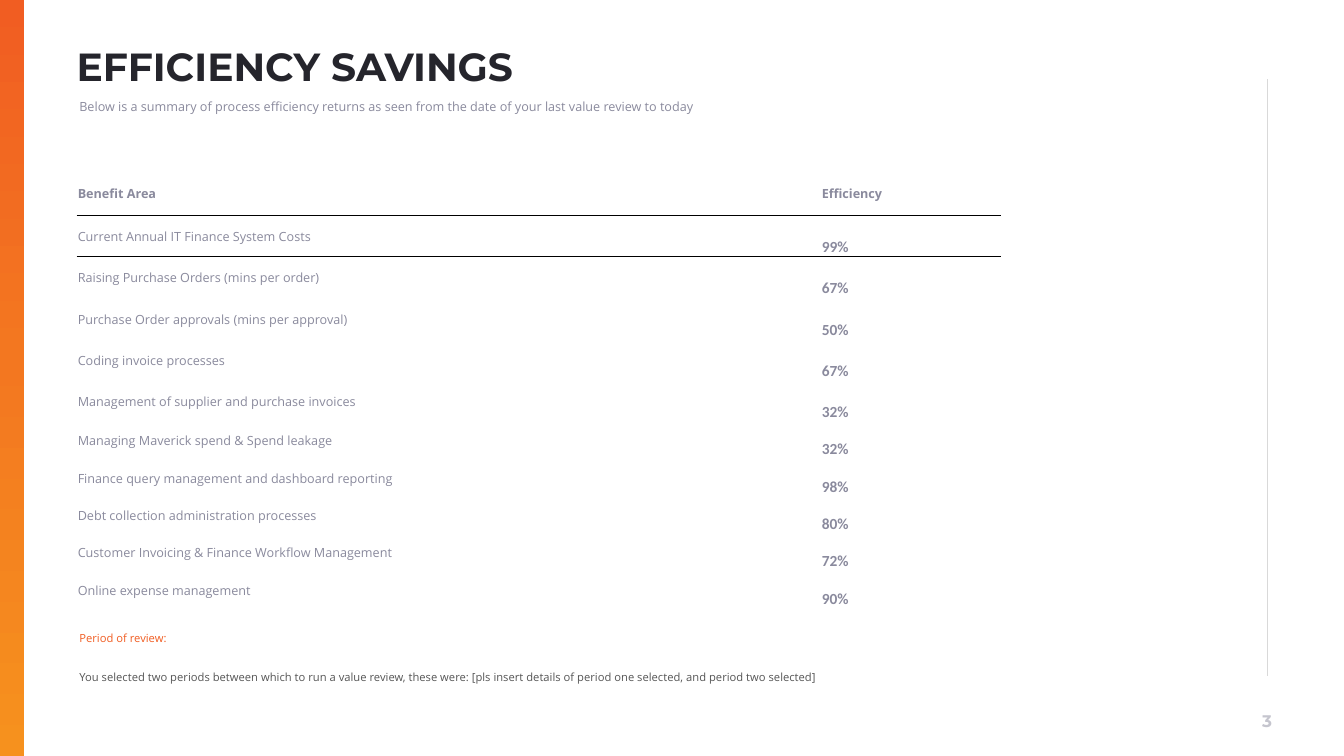
import copy

import pptx
import pptx.dml.color
import pptx.enum.shapes
import pptx.enum.text
import pptx.oxml.ns
import pptx.util
from lxml import etree

Cm, Pt = pptx.util.Cm, pptx.util.Pt
ALIGN, ANCHOR = pptx.enum.text.PP_ALIGN, pptx.enum.text.MSO_ANCHOR
qn = pptx.oxml.ns.qn

# Content
TITLE = "EFFICIENCY SAVINGS"
SUBTITLE = [("Below is a summary of process efficiency returns as seen from the date "
             "of your last value review to today", 9, "8A8A9D")]
HEADER = ("Benefit Area", "Efficiency")
BENEFITS = [
    ("Current Annual IT Finance System Costs", "99%"),
    ("Raising Purchase Orders (mins per order)", "67%"),
    ("Purchase Order approvals (mins per approval)", "50%"),
    ("Coding invoice processes", "67%"),
    ("Management of supplier and purchase invoices", "32%"),
    ("Managing Maverick spend & Spend leakage", "32%"),
    ("Finance query management and dashboard reporting", "98%"),
    ("Debt collection administration processes", "80%"),
    ("Customer Invoicing & Finance Workflow Management", "72%"),
    ("Online expense management", "90%"),
]
REVIEW = [
    ("Period of review:", 8, "F15D22"),
    ("You selected two periods between which to run a value review, these were: "
     "[pls insert details of period one selected, and period two selected]", 8, "555555"),
]
PAGE = "3"
BAR_STOPS = [(0, "F15D22"), (0.47, "F37720"), (1, "F6911E")]
COL_WIDTHS = (18.75, 4.55)
ROW_HEIGHTS = [1.14] + [1.04] * 5 + [0.94] * 5
NO_STYLE = "{2D5ABB26-0587-4C30-8999-92F81FD0307C}"


def rgb(color):
    return pptx.dml.color.RGBColor.from_string(color)


def set_font(p, size, name, color, bold=False):
    p.font.size, p.font.name, p.font.bold = Pt(size), name, bold
    p.font.color.rgb = rgb(color)


def set_margins(frame, left, top, right, bottom):
    frame.margin_left, frame.margin_top = Cm(left), Cm(top)
    frame.margin_right, frame.margin_bottom = Cm(right), Cm(bottom)


def add_note(left, top, width, height, lines):
    tf = slide.shapes.add_textbox(Cm(left), Cm(top), Cm(width), Cm(height)).text_frame
    tf.word_wrap = True
    set_margins(tf, 0, 0, 0, 0)
    for i, (text, size, color) in enumerate(lines):
        p = tf.paragraphs[0] if i == 0 else tf.add_paragraph()
        p.text = text
        p.line_spacing = 1.2
        p.space_before = p.space_after = Pt(8)
        p._p.get_or_add_pPr().set("marL", str(Cm(0.25)))
        set_font(p, size, "Open Sans", color)


def add_border(cell, side):
    ln = etree.Element(qn("a:" + side), w=str(Pt(0.5)))
    fill = etree.SubElement(ln, qn("a:solidFill"))
    etree.SubElement(fill, qn("a:srgbClr"), val="000000")
    cell._tc.get_or_add_tcPr().insert(0, ln)


prs = pptx.Presentation()
prs.slide_width, prs.slide_height = Cm(33.87), Cm(19.05)
slide = prs.slides.add_slide(prs.slide_layouts[5])

# Right rule
rule = slide.shapes.add_connector(pptx.enum.shapes.MSO_CONNECTOR.STRAIGHT,
                                  Cm(31.93), Cm(2), Cm(31.93), Cm(17.04))
rule.line.color.rgb = rgb("D9D9D9")
rule.line.width = Pt(0.5)
etree.SubElement(rule._element.spPr, qn("a:effectLst"))

# Left gradient bar
bar = slide.shapes.add_shape(pptx.enum.shapes.MSO_SHAPE.RECTANGLE, 0, 0, Cm(0.61), prs.slide_height)
bar.shadow.inherit = False
bar.line.fill.background()
bar.fill.gradient()
bar.fill.gradient_angle = 270
stop_list = bar._element.spPr.find(qn("a:gradFill")).find(qn("a:gsLst"))
stop_list.insert(1, copy.deepcopy(stop_list[0]))
for stop, (position, color) in zip(bar.fill.gradient_stops, BAR_STOPS):
    stop.position = position
    stop.color.rgb = rgb(color)

# Page number
tf = slide.shapes.add_textbox(Cm(31.39), Cm(17.65), Cm(1.09), Cm(1.02)).text_frame
tf.word_wrap = True
tf.vertical_anchor = ANCHOR.MIDDLE
p = tf.paragraphs[0]
p.text = PAGE
p.alignment = ALIGN.CENTER
set_font(p, 12, "Montserrat", "C5C5CE", True)

# Title and subtitle
title = slide.shapes.title
title.left, title.top, title.width, title.height = Cm(1.93), Cm(1.19), Cm(30), Cm(1.09)
tf = title.text_frame
tf.text = TITLE
tf.vertical_anchor = ANCHOR.TOP
tf.auto_size = pptx.enum.text.MSO_AUTO_SIZE.NONE
set_margins(tf, 0, 0, 0, 0)
p = tf.paragraphs[0]
p.alignment = ALIGN.LEFT
p.line_spacing = 0.9
set_font(p, 28, "Montserrat", "25252C", True)
add_note(1.75, 2.41, 27.25, 1.09, SUBTITLE)

# Benefits table
rows = [HEADER] + BENEFITS
table = slide.shapes.add_table(len(rows), len(HEADER), Cm(1.93), Cm(4.29),
                               Cm(sum(COL_WIDTHS)), Cm(sum(ROW_HEIGHTS))).table
table.first_row = table.horz_banding = False
table._tbl.tblPr.find(qn("a:tableStyleId")).text = NO_STYLE
for column, width in zip(table.columns, COL_WIDTHS):
    column.width = Cm(width)
for i, (values, height) in enumerate(zip(rows, ROW_HEIGHTS)):
    table.rows[i].height = Cm(height)
    for j, value in enumerate(values):
        cell = table.cell(i, j)
        cell.text = value
        set_margins(cell, 0.03, 0.03, 0.03, 0)
        cell.fill.solid()
        cell.fill.fore_color.rgb = rgb("FFFFFF")
        is_figure = i > 0 and j == 1
        cell.vertical_anchor = ANCHOR.BOTTOM if is_figure else ANCHOR.MIDDLE
        size, name = (11, "Calibri") if is_figure else (9, "Open Sans")
        set_font(cell.text_frame.paragraphs[0], size, name, "8A8A9D", i == 0 or j == 1)
        if i < 2:
            add_border(cell, "lnB" if i == 0 else "lnT")

# Review period
add_note(1.75, 15.85, 27.43, 1.8, REVIEW)

prs.save("out.pptx")
